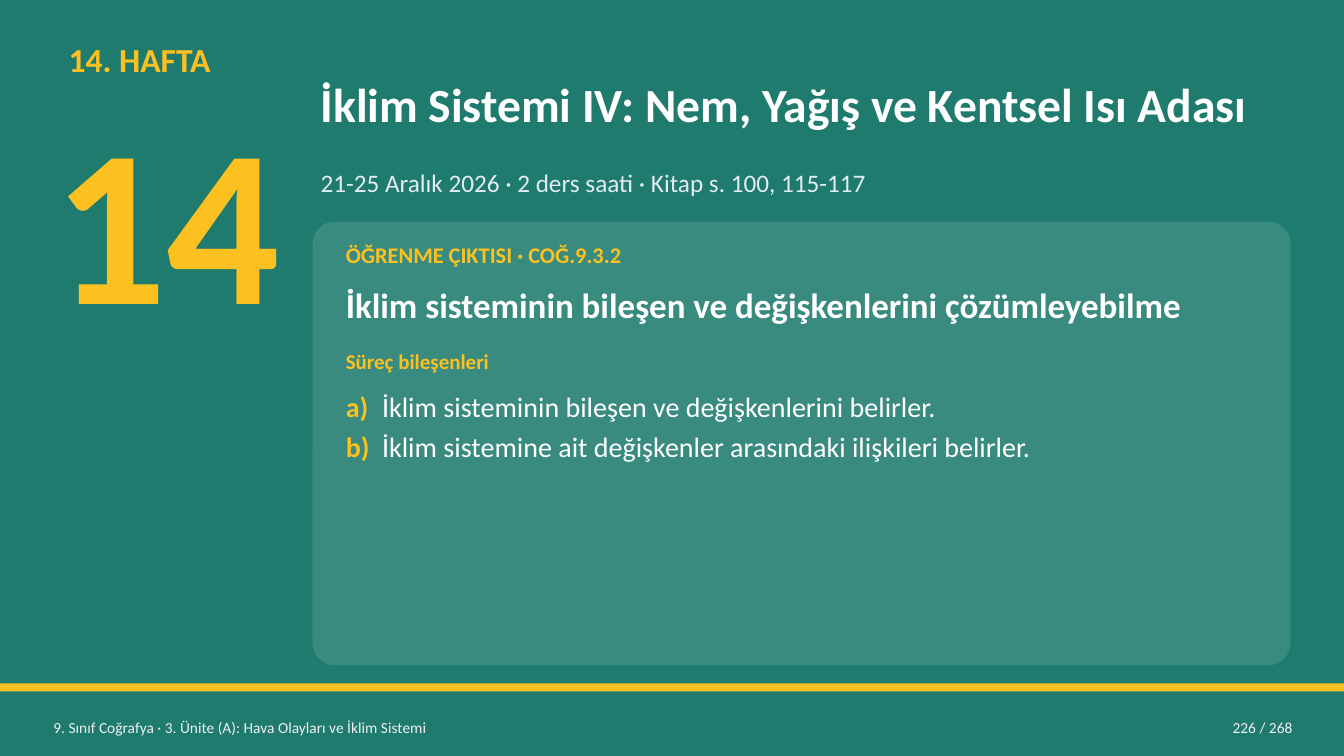
from lxml import etree
from pptx import Presentation
from pptx import util as u
from pptx.dml.color import RGBColor
from pptx.enum import shapes, text
from pptx.oxml.ns import qn

EMU_PER_PX = 9144
GOLD, WHITE, GREEN = "FCC021", "FFFFFF", "1E7B6E"
SUBTITLE_COLOUR, FOOTER_COLOUR = "E3ECF5", "F0F0F0"


def px(length):
    return u.Emu(length * EMU_PER_PX)


def colour(value):
    return RGBColor.from_string(value)


def style(font, size, value, bold=False):
    font.name = "Calibri"
    font.size = u.Pt(size)
    font.bold = bold
    font.color.rgb = colour(value)


def prepare_frame(shape, anchor, inset=4):
    frame = shape.text_frame
    frame.word_wrap = True
    frame.auto_size = text.MSO_AUTO_SIZE.NONE
    frame.vertical_anchor = anchor
    frame.margin_left = frame.margin_right = px(8)
    frame.margin_top = frame.margin_bottom = px(inset)
    return frame


def add_text(slide, box, words, size, value, bold=False, inset=4,
             anchor=text.MSO_ANCHOR.TOP, align=text.PP_ALIGN.LEFT):
    shape = slide.shapes.add_textbox(*map(px, box))
    paragraph = prepare_frame(shape, anchor, inset).paragraphs[0]
    paragraph.text = words
    paragraph.alignment = align
    style(paragraph.font, size, value, bold)


def add_block(slide, kind, box, value):
    shape = slide.shapes.add_shape(kind, *map(px, box))
    shape.shadow.inherit = False
    shape.fill.solid()
    shape.fill.fore_color.rgb = colour(value)
    shape.line.fill.background()
    return shape


def add_week(slide, box, number):
    left, top, width, height = box
    add_text(slide, (left + 15, top, width, 55), f"{number}. HAFTA", 24, GOLD, True)
    add_text(slide, (left, top + 45, width, height - 45), number, 160, GOLD, True, inset=0)


def add_heading(slide, box, title, subtitle):
    left, top, width, height = box
    shape = slide.shapes.title
    shape.left, shape.top, shape.width, shape.height = map(px, (left, top, width, 115))
    paragraph = prepare_frame(shape, text.MSO_ANCHOR.MIDDLE).paragraphs[0]
    paragraph.text = title
    paragraph.alignment = text.PP_ALIGN.LEFT
    style(paragraph.font, 34, WHITE, True)
    add_text(slide, (left, top + height - 45, width, 45), subtitle, 18, SUBTITLE_COLOUR)


def add_steps(slide, box, steps):
    shape = slide.shapes.add_textbox(*map(px, box))
    frame = prepare_frame(shape, text.MSO_ANCHOR.TOP)
    for index, (label, words) in enumerate(steps):
        paragraph = frame.add_paragraph() if index else frame.paragraphs[0]
        properties = paragraph._p.get_or_add_pPr()
        properties.set("marL", str(px(36)))
        properties.set("indent", str(px(-36)))
        paragraph.space_after = u.Pt(5)
        for run_words, value, bold in ((f"{label})\t", GOLD, True), (words, WHITE, False)):
            run = paragraph.add_run()
            run.text = run_words
            style(run.font, 20, value, bold)


def add_outcome_card(slide, box, code, outcome, steps):
    left, top, width, height = box
    card = add_block(slide, shapes.MSO_SHAPE.ROUNDED_RECTANGLE, box, WHITE)
    card.adjustments[0] = 0.05
    fill_colour = card._element.spPr.find(qn("a:solidFill")).find(qn("a:srgbClr"))
    etree.SubElement(fill_colour, qn("a:alpha")).set("val", "12000")
    inner_left, inner_width = left + 25, width - 50
    lines = (
        (15, 40, f"ÖĞRENME ÇIKTISI · {code}", 16, GOLD),
        (57, 53, outcome, 25, WHITE),
        (122, 38, "Süreç bileşenleri", 15, GOLD),
    )
    for offset, line_height, words, size, value in lines:
        add_text(slide, (inner_left, top + offset, inner_width, line_height),
                 words, size, value, True)
    add_steps(slide, (inner_left, top + 162, inner_width, height - 174), steps)


def add_footer(slide, box, unit, page):
    left, top, width, height = box
    add_block(slide, shapes.MSO_SHAPE.RECTANGLE, (left, top, width, 8), GOLD)
    cells = ((left + 45, 760, unit, text.PP_ALIGN.LEFT),
             (left + width - 203, 160, page, text.PP_ALIGN.RIGHT))
    for cell_left, cell_width, words, align in cells:
        add_text(slide, (cell_left, top + 26, cell_width, 36), words, 11, FOOTER_COLOUR,
                 anchor=text.MSO_ANCHOR.MIDDLE, align=align)


def main():
    presentation = Presentation()
    presentation.slide_width, presentation.slide_height = px(1333), px(750)
    slide = presentation.slides.add_slide(presentation.slide_layouts[5])
    slide.background.fill.solid()
    slide.background.fill.fore_color.rgb = colour(GREEN)
    add_week(slide, (45, 35, 260, 320), "14")
    add_heading(slide, (310, 45, 970, 162),
                "İklim Sistemi IV: Nem, Yağış ve Kentsel Isı Adası",
                "21-25 Aralık 2026 · 2 ders saati · Kitap s. 100, 115-117")
    add_outcome_card(slide, (310, 220, 970, 440), "COĞ.9.3.2",
                     "İklim sisteminin bileşen ve değişkenlerini çözümleyebilme",
                     (("a", "İklim sisteminin bileşen ve değişkenlerini belirler."),
                      ("b", "İklim sistemine ait değişkenler arasındaki ilişkileri belirler.")))
    add_footer(slide, (0, 678, 1333, 72),
               "9. Sınıf Coğrafya · 3. Ünite (A): Hava Olayları ve İklim Sistemi",
               "226 / 268")
    presentation.save("out.pptx")


if __name__ == "__main__":
    main()
